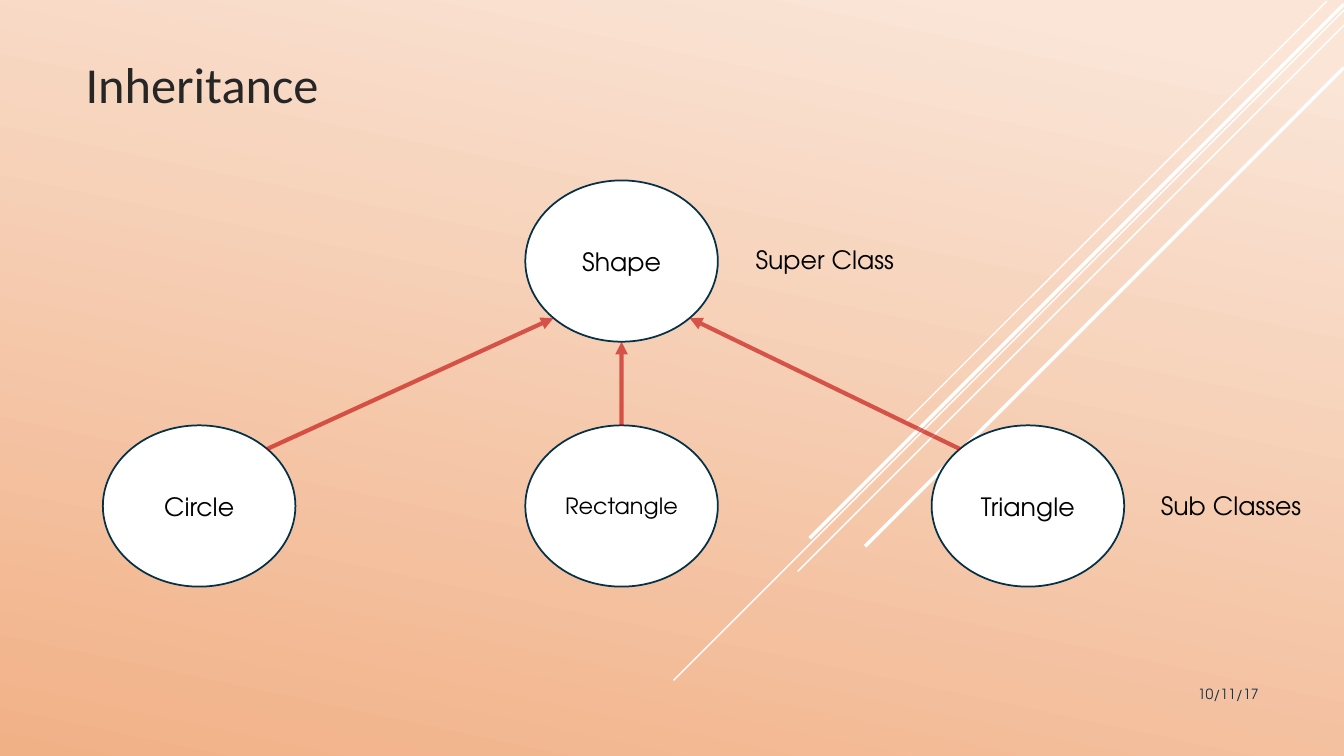
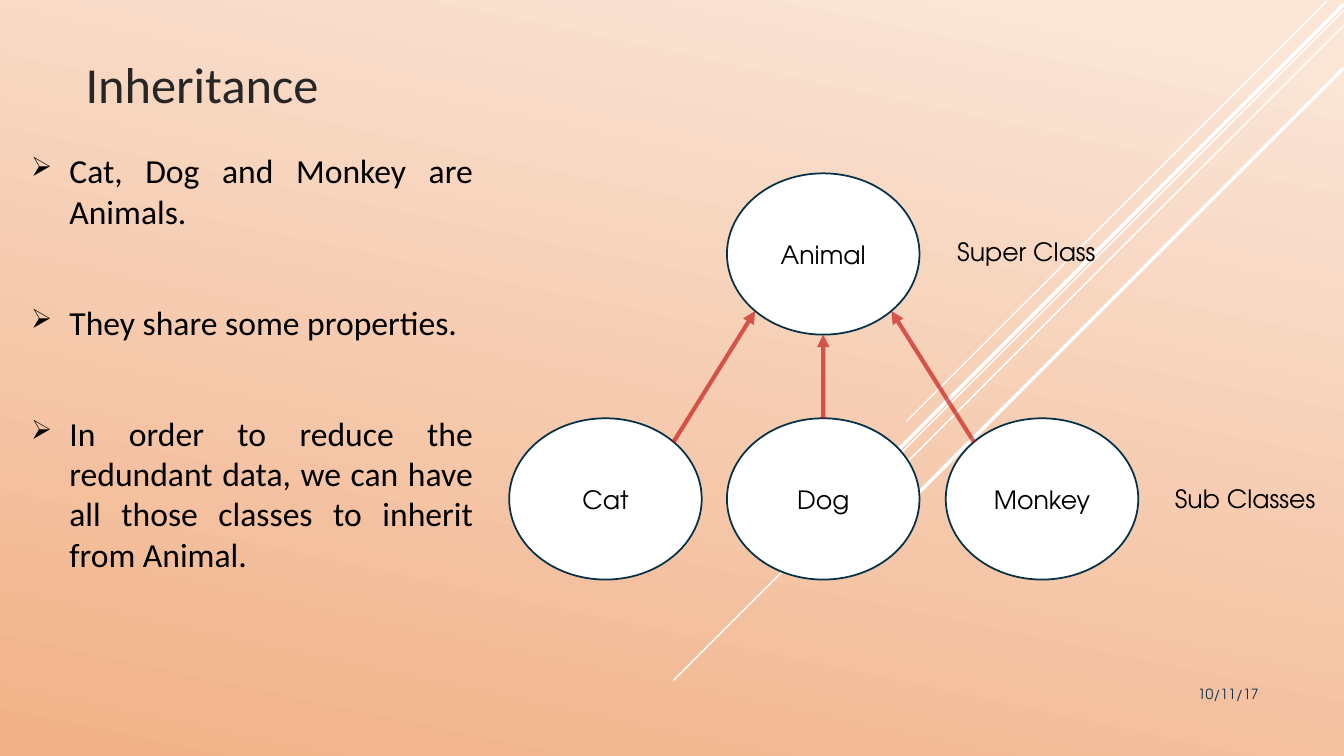
from math import cos, radians, sin

from lxml.etree import SubElement
from pptx import Presentation
from pptx.dml.color import RGBColor
from pptx.enum.shapes import MSO_CONNECTOR as Connector, MSO_SHAPE as Shape
from pptx.enum.text import MSO_ANCHOR as Anchor, PP_ALIGN as Align
from pptx.oxml.ns import qn
from pptx.util import Inches, Pt

TITLE = "Inheritance"
DATE = "10/11/17"
SUPER_LABEL, SUB_LABEL = "Super Class", "Sub Classes"
SLIDES = [
    {"super": "Shape", "top": 1.79, "bullets": [],
     "subs": [("Circle", 1.02, 18), ("Rectangle", 5.21, 16), ("Triangle", 9.24, 18)]},
    {"super": "Animal", "top": 1.72,
     "bullets": ["Cat, Dog and Monkey are Animals.",
                 "They share some properties.",
                 "In order to reduce the redundant data, we can have all those "
                 "classes to inherit from Animal."],
     "subs": [("Cat", 5.05, 18), ("Dog", 7.21, 18), ("Monkey", 9.38, 18)]},
]

HEAD_FONT, BODY_FONT = "Calibri", "TeX Gyre Adventor"
WHITE, BLACK, RED, NAVY = "FFFFFF", "000000", "C00000", "043148"
TITLE_COLOR, DATE_COLOR = "262626", "0A304A"
BACKGROUND = [(0.07, "FAE5D7"), (1, "F1B187")]
DIAGONALS = [(13.16, 0.01, 4.17, 1), (13.33, 0.1, 6.65, 1), (13.33, 0.25, 5.42, 1),
             (13.33, 0.04, 5.3, 2.5), (13.33, 0.67, 4.75, 2.5)]
OVAL_W, OVAL_H, LEVEL_GAP, LABEL_GAP = 1.91, 1.6, 2.43, 0.26
ARROW_SITES = [(7, 3), (0, 4), (1, 5)]


def rgb(color):
    return RGBColor.from_string(color)


def add_bullet(para):
    properties = para._p.get_or_add_pPr()
    properties.set("marL", str(Inches(0.38)))
    properties.set("indent", str(-Inches(0.38)))
    color = SubElement(properties, qn("a:buClr"))
    SubElement(color, qn("a:srgbClr"), val=BLACK)
    SubElement(properties, qn("a:buSzPct"), val="80000")
    SubElement(properties, qn("a:buChar"), char="➢")


def write(box, *lines, size=18, font=BODY_FONT, color=BLACK, align=Align.CENTER,
          anchor=Anchor.TOP, wrap=False, bullet=False, gap=0):
    frame = box.text_frame
    frame.word_wrap = wrap
    frame.vertical_anchor = anchor
    for index, line in enumerate(lines):
        para = frame.add_paragraph() if index else frame.paragraphs[0]
        if bullet:
            add_bullet(para)
        para.alignment = align
        para.space_before = Pt(gap if index else 0)
        span = para.add_run()
        span.text = line
        span.font.size = Pt(size)
        span.font.name = font
        span.font.color.rgb = rgb(color)


def add_text(page, at, *lines, **style):
    box = page.shapes.add_textbox(*map(Inches, at))
    write(box, *lines, **style)


def add_line(page, start, end, color, width):
    line = page.shapes.add_connector(Connector.STRAIGHT, *map(Inches, (*start, *end)))
    line.line.color.rgb = rgb(color)
    line.line.width = Pt(width)
    SubElement(line._element.spPr, qn("a:effectLst"))
    return line


def add_oval(page, text, left, top, size=18):
    oval = page.shapes.add_shape(Shape.OVAL, *map(Inches, (left, top, OVAL_W, OVAL_H)))
    oval.shadow.inherit = False
    oval.fill.solid()
    oval.fill.fore_color.rgb = rgb(WHITE)
    oval.line.color.rgb = rgb(NAVY)
    oval.line.width = Pt(1.25)
    write(oval, text, size=size, anchor=Anchor.MIDDLE)
    return oval


def site_point(oval, site):
    """Find a connection site; the eight run anticlockwise from the top."""
    angle = radians(90 + 45 * site)
    return (oval.left.inches + OVAL_W / 2 * (1 + cos(angle)),
            oval.top.inches + OVAL_H / 2 * (1 - sin(angle)))


def add_arrow(page, sub, parent, sites):
    ends = list(zip(("a:stCxn", "a:endCxn"), (sub, parent), sites))
    points = [site_point(oval, site) for _, oval, site in ends]
    arrow = add_line(page, *points, RED, 3)
    joints = arrow._element.nvCxnSpPr.cNvCxnSpPr
    for tag, oval, site in ends:
        SubElement(joints, qn(tag), id=str(oval.shape_id), idx=str(site))
    outline = arrow.line._get_or_add_ln()
    SubElement(outline.find(".//" + qn("a:srgbClr")), qn("a:alpha"), val="60000")
    SubElement(outline, qn("a:tailEnd"), type="triangle")


def add_frame(page):
    for x, y, reach, width in DIAGONALS:
        add_line(page, (x, y), (x - reach, y + reach), WHITE, width)
    add_text(page, (0.75, 0.15, 10.8, 1.03), TITLE, size=36, font=HEAD_FONT,
             color=TITLE_COLOR, align=Align.LEFT, anchor=Anchor.BOTTOM, wrap=True)
    add_text(page, (10.83, 6.75, 1.75, 0.4), DATE, size=10, color=DATE_COLOR,
             align=Align.RIGHT, wrap=True)


def add_tree(page, content):
    top, subs = content["top"], content["subs"]
    sub_top = top + LEVEL_GAP
    parent_left, last_left = subs[1][1], subs[-1][1]
    parent = add_oval(page, content["super"], parent_left, top)
    ovals = [add_oval(page, text, left, sub_top, size) for text, left, size in subs]
    for label, left, label_top in ((SUPER_LABEL, parent_left, top + 0.58),
                                   (SUB_LABEL, last_left, sub_top + 0.6)):
        add_text(page, (left + OVAL_W + LABEL_GAP, label_top, 1.6, 0.4), label)
    for oval, sites in zip(ovals, ARROW_SITES):
        add_arrow(page, oval, parent, sites)


def main():
    deck = Presentation()
    deck.slide_width, deck.slide_height = Inches(13.33), Inches(7.5)
    fill = deck.slide_master.background.fill
    fill.gradient()
    fill.gradient_angle = 258
    for stop, (position, color) in zip(fill.gradient_stops, BACKGROUND):
        stop.position = position
        stop.color.rgb = rgb(color)
    for content in SLIDES:
        page = deck.slides.add_slide(deck.slide_layouts[6])
        add_frame(page)
        add_tree(page, content)
        if content["bullets"]:
            add_text(page, (0.21, 1.44, 4.58, 5.71), *content["bullets"], size=24,
                     font=HEAD_FONT, align=Align.JUSTIFY, wrap=True, bullet=True, gap=50.5)
    deck.save("out.pptx")


if __name__ == "__main__":
    main()
